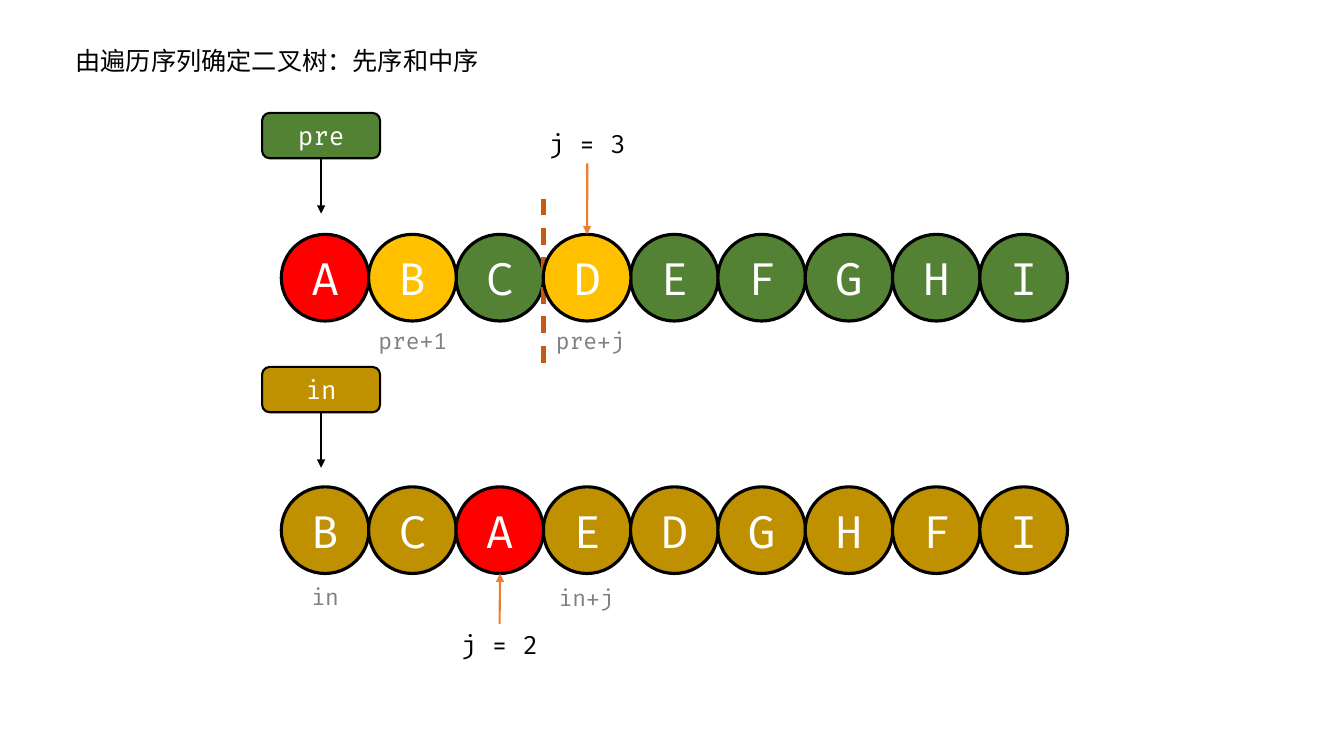
from lxml import etree
from pptx import Presentation
from pptx.dml.color import RGBColor
from pptx.enum.dml import MSO_LINE
from pptx.enum.shapes import MSO_CONNECTOR, MSO_SHAPE
from pptx.enum.text import MSO_ANCHOR, MSO_AUTO_SIZE, PP_ALIGN
from pptx.oxml.ns import qn
from pptx.util import Inches, Pt

STRAIGHT = MSO_CONNECTOR.STRAIGHT
OVAL, ROUNDED = MSO_SHAPE.OVAL, MSO_SHAPE.ROUNDED_RECTANGLE
MIDDLE, TOP_ANCHOR = MSO_ANCHOR.MIDDLE, MSO_ANCHOR.TOP
CENTER, LEFT = PP_ALIGN.CENTER, PP_ALIGN.LEFT
FIT_SHAPE = MSO_AUTO_SIZE.SHAPE_TO_FIT_TEXT
DASH = MSO_LINE.DASH
TOP, BOTTOM = 0, 2

BLACK = RGBColor(0x00, 0x00, 0x00)
WHITE = RGBColor(0xFF, 0xFF, 0xFF)
GREY = RGBColor(0x80, 0x80, 0x80)
GREEN = RGBColor(0x54, 0x82, 0x35)
GOLD = RGBColor(0xBF, 0x90, 0x00)
RED = RGBColor(0xFF, 0x00, 0x00)
YELLOW = RGBColor(0xFF, 0xC0, 0x00)
ORANGE = RGBColor(0xED, 0x7D, 0x31)
RUST = RGBColor(0xC5, 0x5A, 0x11)
CODE_FONT, TITLE_FONT = "Fira Code", "Noto Sans CJK SC"

TITLE = "由遍历序列确定二叉树：先序和中序"
SEQUENCES = [
    {"pointer": "pre", "nodes": "ABCDEFGHI", "color": GREEN, "top": 2.325,
     "pointer_top": 1.12, "marked": {0: RED, 1: YELLOW, 3: YELLOW}},
    {"pointer": "in", "nodes": "BCAEDGHFI", "color": GOLD, "top": 4.83,
     "pointer_top": 3.64, "marked": {2: RED}},
]
INDEX_NOTES = [("pre+1", 3.51, 3.2), ("pre+j", 5.27, 3.2),
               ("in", 2.64, 5.74), ("in+j", 5.23, 5.75)]

ROW_LEFT, NODE_W, NODE_H, PITCH = 2.79, 0.87, 0.86, 0.866
POINTER_LEFT, LABEL_W, POINTER_H, ARROW_LENGTH = 2.6, 1.17, 0.45, 0.55

deck = Presentation()
deck.slide_width, deck.slide_height = Inches(13.33), Inches(7.5)
slide = deck.slides.add_slide(deck.slide_layouts[6])
shapes = slide.shapes


def write(owner, text, size, color, font=CODE_FONT, align=CENTER):
    paragraph = owner.text_frame.paragraphs[0]
    paragraph.text = text
    paragraph.alignment = align
    run = paragraph.runs[0]
    run.font.name, run.font.size = font, Pt(size)
    run.font.color.rgb = color
    east_asian = etree.SubElement(run.font._element, qn("a:ea"))
    east_asian.set("typeface", font)


def add_label(text, left, top, width, height, size, color, **style):
    label = shapes.add_textbox(Inches(left), Inches(top), Inches(width), Inches(height))
    label.text_frame.word_wrap = True
    label.text_frame.auto_size = FIT_SHAPE
    label.text_frame.vertical_anchor = TOP_ANCHOR
    write(label, text, size, color, **style)
    return label


def add_filled(kind, text, left, top, width, height, fill, outline, size):
    filled = shapes.add_shape(kind, Inches(left), Inches(top), Inches(width), Inches(height))
    filled.shadow.inherit = False
    filled.fill.solid()
    filled.fill.fore_color.rgb = fill
    filled.line.color.rgb = BLACK
    filled.line.width = Pt(outline)
    filled.text_frame.vertical_anchor = MIDDLE
    filled.text_frame.word_wrap = kind != OVAL
    write(filled, text, size, WHITE)
    return filled


def add_line(start, end, color, width, arrow=True):
    line = shapes.add_connector(STRAIGHT, *map(Inches, start + end))
    line.line.color.rgb = color
    line.line.width = Pt(width)
    if arrow:
        etree.SubElement(line.line._get_or_add_ln(), qn("a:tailEnd")).set("type", "triangle")
    etree.SubElement(line._element.spPr, qn("a:effectLst"))
    return line


def add_node(sequence, index):
    return add_filled(OVAL, sequence["nodes"][index], ROW_LEFT + index * PITCH,
                      sequence["top"], NODE_W, NODE_H,
                      sequence["marked"].get(index, sequence["color"]), 2.25, 32)


add_label(TITLE, 0.65, 0.4, 6.89, 0.4, 18, BLACK, font=TITLE_FONT, align=LEFT)

for sequence in SEQUENCES:
    for index in range(len(sequence["nodes"])):
        if index not in sequence["marked"]:
            add_node(sequence, index)
    pointer = add_filled(ROUNDED, sequence["pointer"], POINTER_LEFT,
                         sequence["pointer_top"], LABEL_W, POINTER_H,
                         sequence["color"], 1.5, 18)
    pointer_x = POINTER_LEFT + LABEL_W / 2
    pointer_bottom = sequence["pointer_top"] + POINTER_H
    pointer_arrow = add_line((pointer_x, pointer_bottom),
                             (pointer_x, pointer_bottom + ARROW_LENGTH), BLACK, 1.5)
    pointer_arrow.begin_connect(pointer, BOTTOM)

divider = add_line((5.39, 1.97), (5.39, 3.64), RUST, 3, arrow=False)
divider.line.dash_style = DASH

marked_nodes = [{index: add_node(sequence, index) for index in sequence["marked"]}
                for sequence in SEQUENCES]

split_in_pre = add_label("j = 3", 5.24, 1.22, LABEL_W, 0.4, 18, BLACK)
pre_arrow = add_line((5.82, 1.62), (5.82, 2.33), ORANGE, 1.5)
pre_arrow.begin_connect(split_in_pre, BOTTOM)
pre_arrow.end_connect(marked_nodes[0][3], TOP)

root_in_order = add_label("j = 2", 4.37, 6.19, LABEL_W, 0.4, 18, BLACK)
in_arrow = add_line((4.95, 6.19), (4.96, 5.69), ORANGE, 1.5)
in_arrow.begin_connect(root_in_order, TOP)

for note, left, top in INDEX_NOTES:
    add_label(note, left, top, LABEL_W, 0.37, 16, GREY)

deck.save("out.pptx")
